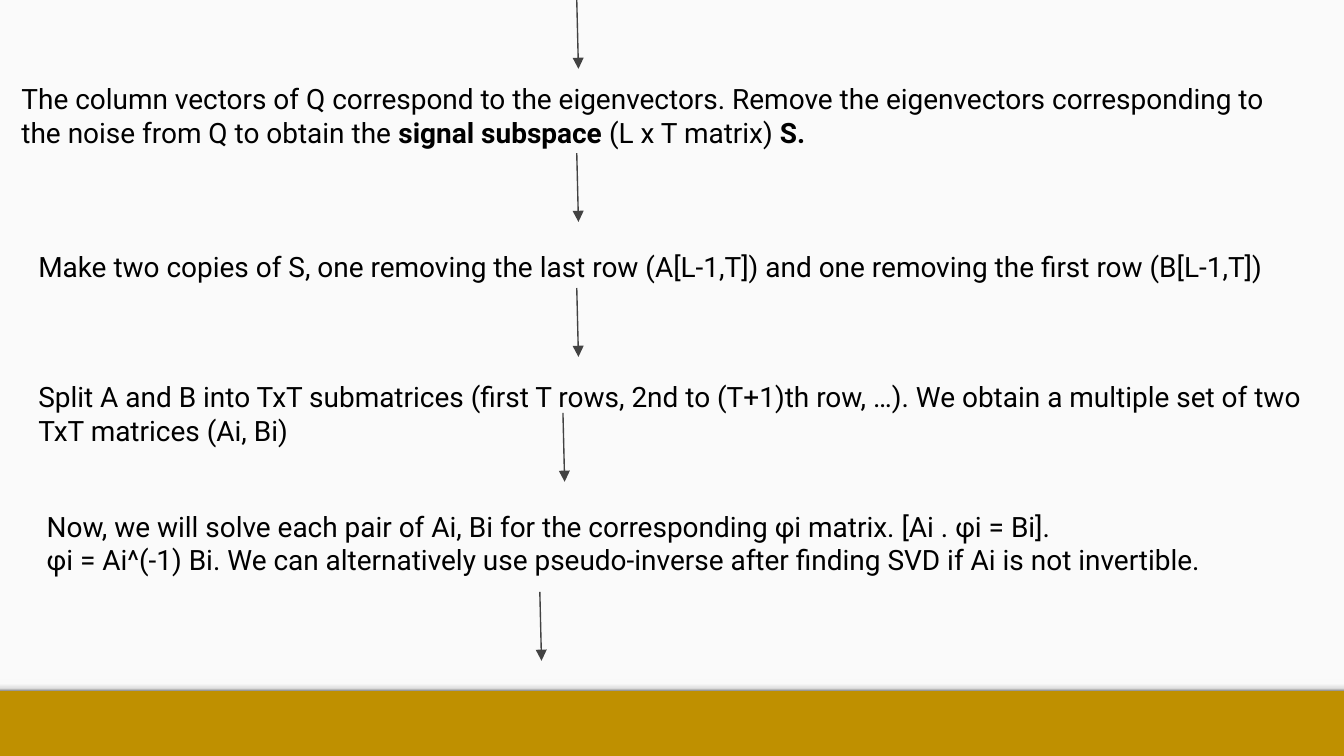
from lxml.etree import SubElement
from pptx import Presentation
from pptx.dml.color import RGBColor
from pptx.enum.shapes import MSO_CONNECTOR, MSO_SHAPE
from pptx.enum.text import MSO_ANCHOR
from pptx.oxml.ns import qn
from pptx.util import Pt

GOLD = RGBColor(0xBF, 0x90, 0x00)
PAPER = RGBColor(0xFA, 0xFA, 0xFA)
ARROW_GREY = RGBColor(0x42, 0x42, 0x42)
BLACK = RGBColor(0, 0, 0)
SHADE_STOPS = [
    (0, RGBColor(0xF9, 0xF9, 0xF9)),
    (36, RGBColor(0xF9, 0xF9, 0xF9)),
    (80, RGBColor(0xDE, 0xDE, 0xDE)),
    (100, RGBColor(0x99, 0x99, 0x99)),
]

SLIDE_WIDTH, SLIDE_HEIGHT = 720, 405
PANEL_HEIGHT, SHADE_HEIGHT = 370, 6
STEP_WIDTH, STEP_HEIGHT = 693.5, 55
ARROW_RUN, ARROW_DROP = 0.9, 36.9

FRAME_FORMAT = {
    "word_wrap": True,
    "vertical_anchor": MSO_ANCHOR.TOP,
    "margin_left": Pt(7.2),
    "margin_right": Pt(7.2),
    "margin_top": Pt(7.2),
    "margin_bottom": Pt(7.2),
}
FONT_FORMAT = {"name": "Roboto", "size": Pt(15)}

# Each step: left, top, paragraphs; a paragraph is a list of (text, bold) runs.
STEPS = [
    (4.4, 36.7, [[
        ("The column vectors of Q correspond to the eigenvectors. Remove the "
         "eigenvectors corresponding to the noise from Q to obtain the ", False),
        ("signal subspace ", True),
        ("(L x T matrix)", False),
        (" S.", True),
    ]]),
    (13.4, 126.4, [[
        ("Make two copies of S, one removing the last row (A[L-1,T]) "
         "and one removing the first row (B[L-1,T])", False),
    ]]),
    (13.4, 196.2, [[
        ("Split A and B into TxT submatrices (first T rows, 2nd to (T+1)th row, …). "
         "We obtain a multiple set of two TxT matrices (Ai, Bi)", False),
    ]]),
    (17.9, 265.7, [
        [("Now, we will solve each pair of Ai, Bi for the corresponding φi matrix. "
          "[Ai . φi = Bi].", False)],
        [("φi = Ai^(-1) Bi. We can alternatively use pseudo-inverse after finding "
          "SVD if Ai is not invertible.", False)],
    ]),
]
ARROW_STARTS = [(309, 0), (309, 82), (309, 154.3), (301.6, 221.2), (289.2, 317.1)]


def apply_format(target, values):
    for name, value in values.items():
        setattr(target, name, value)


def add_band(slide, top, height):
    """Add a borderless rectangle across the full slide width."""
    band = slide.shapes.add_shape(
        MSO_SHAPE.RECTANGLE, 0, Pt(top), Pt(SLIDE_WIDTH), Pt(height))
    band.shadow.inherit = False
    band.line.fill.background()
    return band


def add_panel(slide):
    panel = add_band(slide, 0, PANEL_HEIGHT)
    panel.fill.solid()
    panel.fill.fore_color.rgb = PAPER


def add_panel_shade(slide):
    """Add the gradient strip that darkens towards the panel's lower edge."""
    shade = add_band(slide, PANEL_HEIGHT - SHADE_HEIGHT, SHADE_HEIGHT)
    shade.fill.gradient()
    shade.fill.gradient_angle = 270
    stop_list = shade.element.spPr.find(qn("a:gradFill")).find(qn("a:gsLst"))
    for stop in list(stop_list):
        stop_list.remove(stop)
    for percent, color in SHADE_STOPS:
        stop = SubElement(stop_list, qn("a:gs"), pos=str(percent * 1000))
        SubElement(stop, qn("a:srgbClr"), val=str(color))


def add_step(slide, left, top, paragraphs):
    box = slide.shapes.add_textbox(
        Pt(left), Pt(top), Pt(STEP_WIDTH), Pt(STEP_HEIGHT))
    frame = box.text_frame
    apply_format(frame, FRAME_FORMAT)
    for index, runs in enumerate(paragraphs):
        paragraph = frame.add_paragraph() if index else frame.paragraphs[0]
        for text, bold in runs:
            run = paragraph.add_run()
            run.text = text
            apply_format(run.font, {**FONT_FORMAT, "bold": bold})
            run.font.color.rgb = BLACK


def add_arrow(slide, left, top):
    arrow = slide.shapes.add_connector(
        MSO_CONNECTOR.STRAIGHT,
        Pt(left), Pt(top), Pt(left + ARROW_RUN), Pt(top + ARROW_DROP))
    arrow.line.color.rgb = ARROW_GREY
    arrow.line.width = Pt(0.75)
    properties = arrow.element.spPr
    SubElement(properties.find(qn("a:ln")), qn("a:tailEnd"),
               type="triangle", w="med", len="med")
    SubElement(properties, qn("a:effectLst"))


def main():
    presentation = Presentation()
    presentation.slide_width = Pt(SLIDE_WIDTH)
    presentation.slide_height = Pt(SLIDE_HEIGHT)
    slide = presentation.slides.add_slide(presentation.slide_layouts[6])
    slide.background.fill.solid()
    slide.background.fill.fore_color.rgb = GOLD

    add_panel(slide)
    add_panel_shade(slide)
    for step in STEPS:
        add_step(slide, *step)
    for start in ARROW_STARTS:
        add_arrow(slide, *start)

    presentation.save("out.pptx")


if __name__ == "__main__":
    main()
